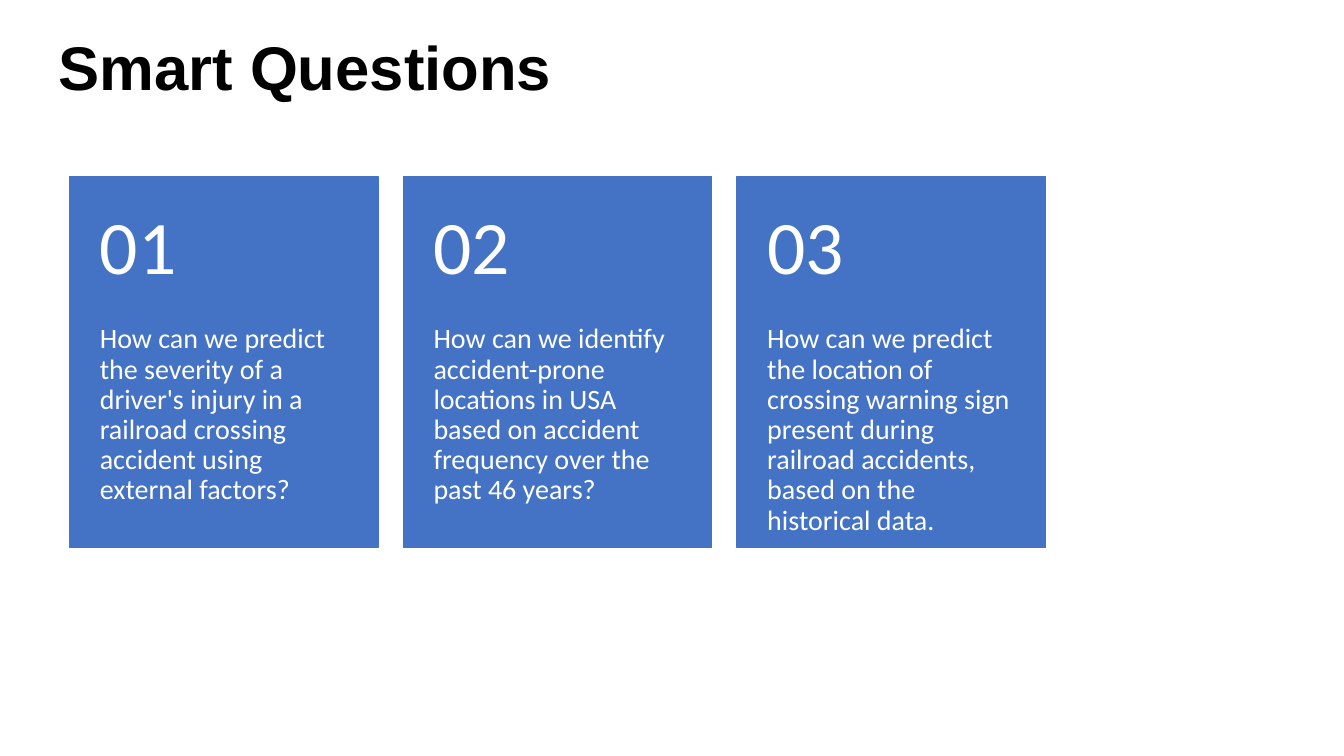
"""Build the Smart Questions slide with three numbered question cards."""
import dataclasses

import pptx
import pptx.dml.color
import pptx.enum.shapes
import pptx.enum.text
import pptx.shapes.base
import pptx.slide
import pptx.util

EMU_PER_PX = 9144
CARD_LEFT, CARD_TOP, CARD_WIDTH = 69, 175, 306
CARD_STEP = 331
NUMBER_HEIGHT, QUESTION_HEIGHT = 147, 221
BLUE, WHITE, BLACK = "4472C4", "FFFFFF", "000000"
ANCHOR = pptx.enum.text.MSO_ANCHOR


@dataclasses.dataclass(frozen=True)
class Area:
    left: int
    top: int
    width: int
    height: int

    def emu(self) -> list[int]:
        return [px(value) for value in dataclasses.astuple(self)]


@dataclasses.dataclass(frozen=True)
class TextStyle:
    font: str
    size: int
    color: str
    anchor: ANCHOR
    margins: tuple[int, int, int, int]
    bold: bool = False


@dataclasses.dataclass(frozen=True)
class Card:
    number: str
    question: str


TITLE_STYLE = TextStyle("Arial", 44, BLACK, ANCHOR.TOP, (10, 5, 10, 5), True)
NUMBER_STYLE = TextStyle("Calibri", 54, WHITE, ANCHOR.MIDDLE, (30, 18, 30, 18))
QUESTION_STYLE = TextStyle("Calibri", 20, WHITE, ANCHOR.TOP, (30, 0, 30, 36))

CARDS = [
    Card("01", "How can we predict the severity of a driver's injury in a "
               "railroad crossing accident using external factors?"),
    Card("02", "How can we identify accident-prone locations in USA based on "
               "accident frequency over the past 46 years?"),
    Card("03", "How can we predict the location of crossing warning sign present "
               "during railroad accidents, based on the historical data."),
]


def px(value: int) -> int:
    return pptx.util.Emu(value * EMU_PER_PX)


def rgb(color: str) -> pptx.dml.color.RGBColor:
    return pptx.dml.color.RGBColor.from_string(color)


def set_values(target: object, values: dict[str, object]) -> None:
    for name, value in values.items():
        setattr(target, name, value)


def write_text(box: pptx.shapes.base.BaseShape, text: str, style: TextStyle) -> None:
    frame = box.text_frame
    left, top, right, bottom = map(px, style.margins)
    set_values(frame, {
        "word_wrap": True,
        "auto_size": pptx.enum.text.MSO_AUTO_SIZE.NONE,
        "vertical_anchor": style.anchor,
        "margin_left": left,
        "margin_top": top,
        "margin_right": right,
        "margin_bottom": bottom,
    })
    para = frame.paragraphs[0]
    set_values(para, {"alignment": pptx.enum.text.PP_ALIGN.LEFT, "line_spacing": 0.9})
    span = para.add_run()
    span.text = text
    set_values(span.font, {
        "name": style.font,
        "size": pptx.util.Pt(style.size),
        "bold": style.bold,
    })
    span.font.color.rgb = rgb(style.color)


def draw_title(page: pptx.slide.Slide, text: str, area: Area) -> None:
    title = page.shapes.title
    set_values(title, dict(zip(("left", "top", "width", "height"), area.emu())))
    write_text(title, text, TITLE_STYLE)


def draw_card(page: pptx.slide.Slide, card: Card, left: int) -> None:
    panel_area = Area(left, CARD_TOP, CARD_WIDTH, NUMBER_HEIGHT + QUESTION_HEIGHT)
    panel = page.shapes.add_shape(
        pptx.enum.shapes.MSO_SHAPE.RECTANGLE, *panel_area.emu())
    panel.shadow.inherit = False
    panel.fill.solid()
    panel.fill.fore_color.rgb = rgb(BLUE)
    panel.line.color.rgb = rgb(BLUE)
    panel.line.width = pptx.util.Pt(1)

    question_area = Area(left, CARD_TOP + NUMBER_HEIGHT, CARD_WIDTH, QUESTION_HEIGHT)
    number_area = Area(left, CARD_TOP, CARD_WIDTH, NUMBER_HEIGHT)
    for area, text, style in (
        (question_area, card.question, QUESTION_STYLE),
        (number_area, card.number, NUMBER_STYLE),
    ):
        write_text(page.shapes.add_textbox(*area.emu()), text, style)


def main() -> None:
    deck = pptx.Presentation()
    set_values(deck, {"slide_width": px(1333), "slide_height": px(750)})
    page = deck.slides.add_slide(deck.slide_layouts.get_by_name("Title Only"))
    draw_title(page, "Smart Questions", Area(48, 32, 1146, 107))
    for index, card in enumerate(CARDS):
        draw_card(page, card, CARD_LEFT + index * CARD_STEP)
    deck.save("out.pptx")


if __name__ == "__main__":
    main()
